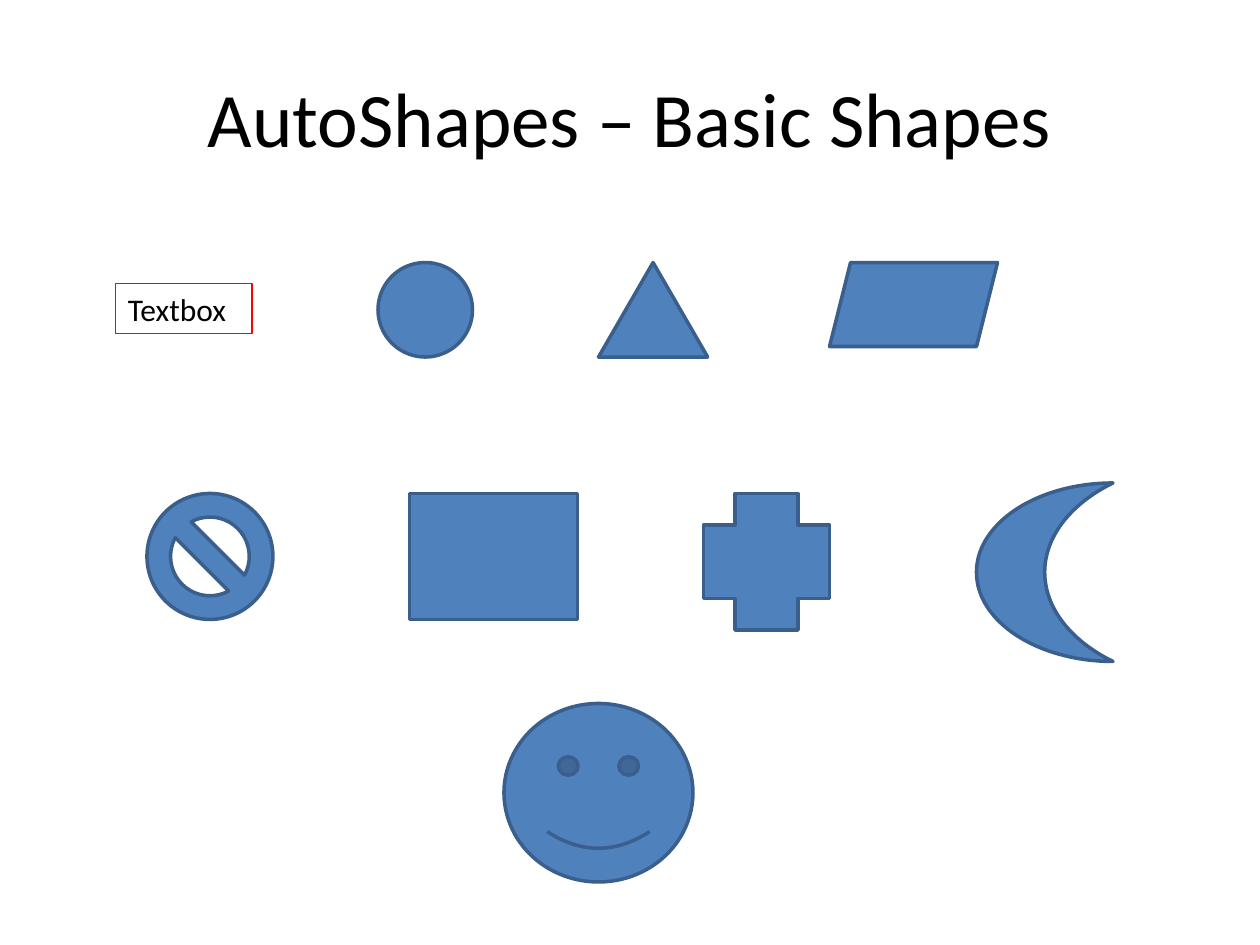
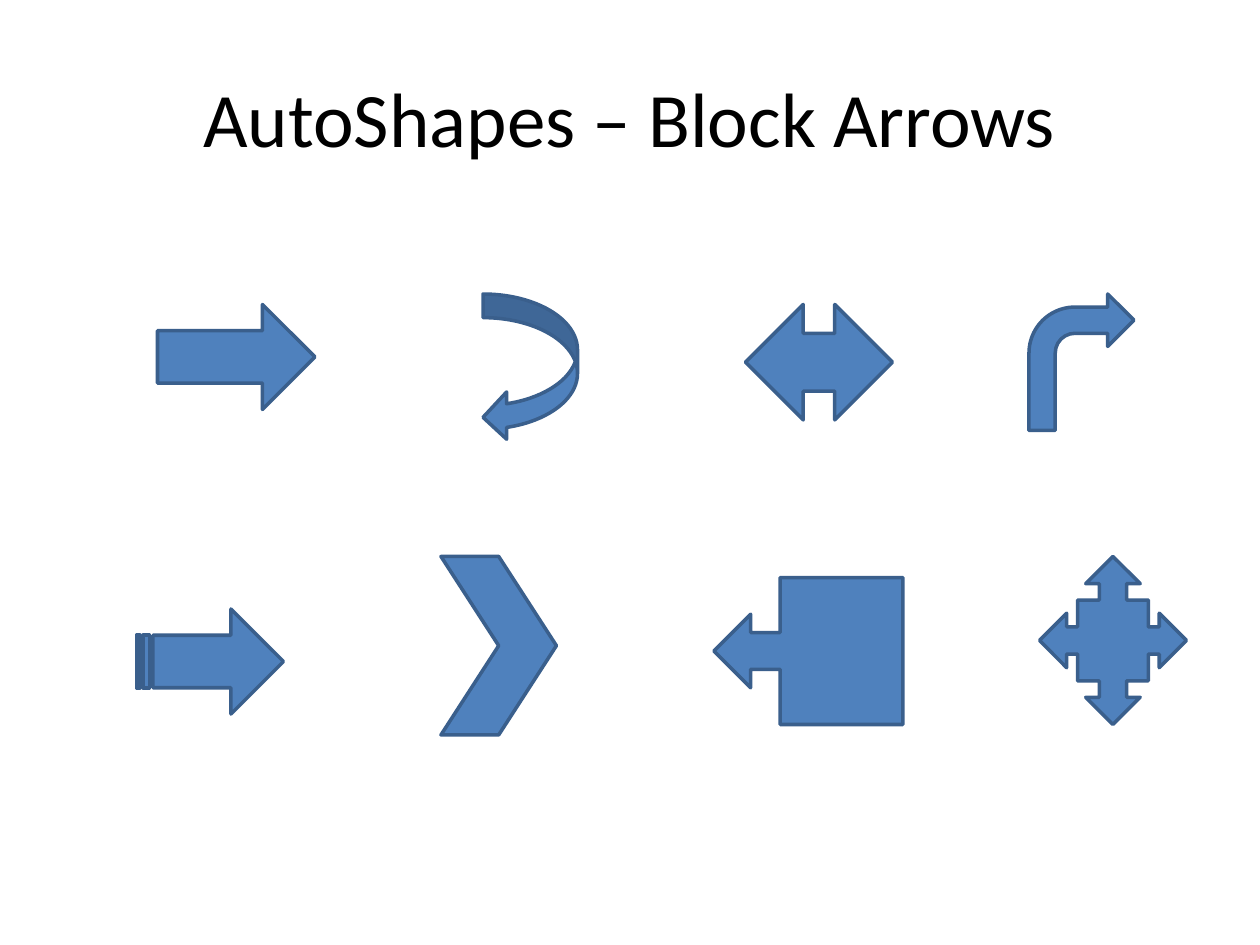
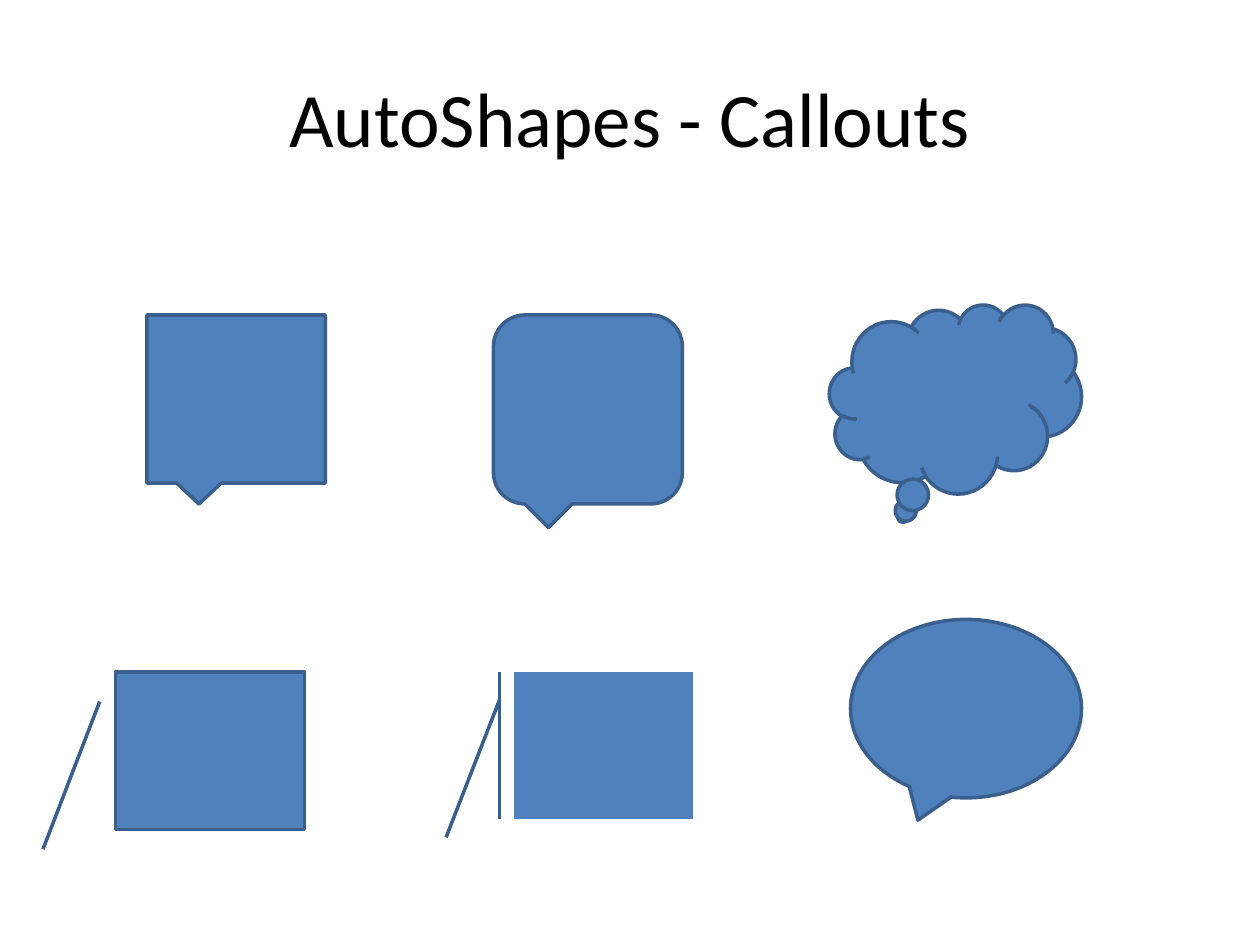
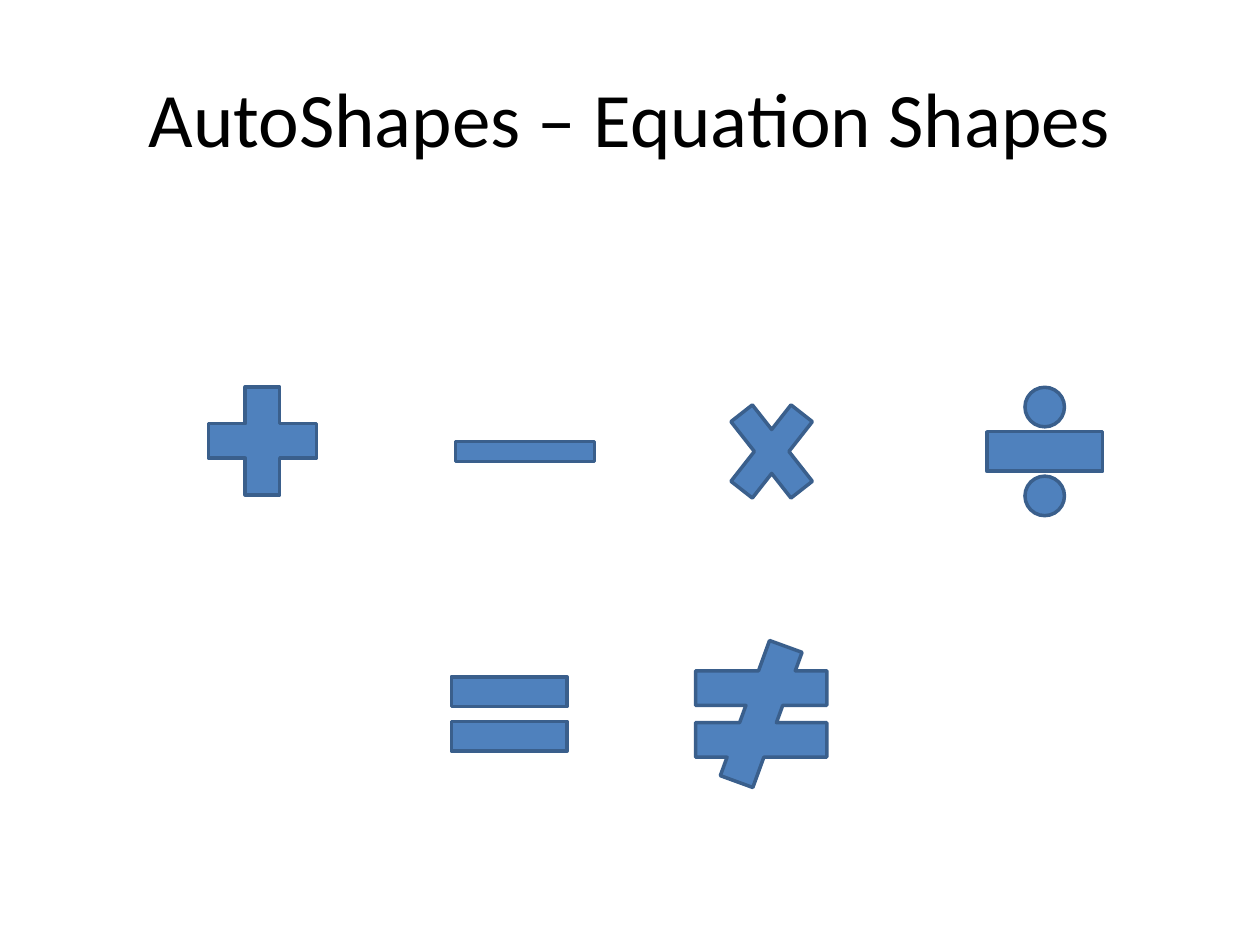
from dataclasses import dataclass

from pptx import Presentation
from pptx.dml.color import RGBColor as RGB
from pptx.enum.shapes import MSO_SHAPE as S
from pptx.enum.text import MSO_ANCHOR, MSO_AUTO_SIZE, PP_ALIGN
from pptx.util import Inches, Pt


@dataclass(frozen=True)
class Theme:
    font: str = "Calibri"
    title_size: float = 44
    body_size: float = 18
    outline_width: float = 2
    frame_width: float = 0.75
    ink: RGB = RGB(0x00, 0x00, 0x00)
    paper: RGB = RGB(0xFF, 0xFF, 0xFF)
    fill: RGB = RGB(0x4F, 0x81, 0xBD)
    outline: RGB = RGB(0x3A, 0x5F, 0x8C)
    frame: RGB = RGB(0xFF, 0x00, 0x00)


class Deck:
    COLUMNS, ROWS = 120, 90
    TITLE_BOX = (6, 3.6, 108, 15)

    def __init__(self, theme):
        self.theme = theme
        self.prs = Presentation()
        self.prs.slide_width = Inches(10)
        self.prs.slide_height = Inches(7.5)
        self.slide = None

    def grid(self, col, row, cols, rows):
        x = self.prs.slide_width / self.COLUMNS
        y = self.prs.slide_height / self.ROWS
        return [round(v) for v in (col * x, row * y, cols * x, rows * y)]

    def set_text(self, tf, text, size, align):
        p = tf.paragraphs[0]
        p.text = text
        p.alignment = align
        p.font.name = self.theme.font
        p.font.size = Pt(size)
        p.font.color.rgb = self.theme.ink

    def add_slide(self, title):
        self.slide = self.prs.slides.add_slide(self.prs.slide_layouts[5])
        background = self.slide.background.fill
        background.solid()
        background.fore_color.rgb = self.theme.paper
        sp = self.slide.shapes.title
        sp.left, sp.top, sp.width, sp.height = self.grid(*self.TITLE_BOX)
        sp.text_frame.vertical_anchor = MSO_ANCHOR.MIDDLE
        self.set_text(sp.text_frame, title, self.theme.title_size, PP_ALIGN.CENTER)

    def add_text_box(self, text, *cells):
        sp = self.slide.shapes.add_textbox(*self.grid(*cells))
        sp.line.color.rgb = self.theme.frame
        sp.line.width = Pt(self.theme.frame_width)
        tf = sp.text_frame
        tf.word_wrap = True
        tf.auto_size = MSO_AUTO_SIZE.SHAPE_TO_FIT_TEXT
        self.set_text(tf, text, self.theme.body_size, PP_ALIGN.LEFT)

    def add_shape(self, kind, *cells):
        sp = self.slide.shapes.add_shape(kind, *self.grid(*cells))
        sp.shadow.inherit = False
        sp.fill.solid()
        sp.fill.fore_color.rgb = self.theme.fill
        sp.line.color.rgb = self.theme.outline
        sp.line.width = Pt(self.theme.outline_width)

    def add_gallery(self, title, shapes):
        self.add_slide(title)
        for kind, *cells in shapes:
            self.add_shape(kind, *cells)


BASIC_SHAPES = [
    (S.OVAL, 36, 25, 9, 9),
    (S.ISOSCELES_TRIANGLE, 57, 25, 10.4, 9),
    (S.PARALLELOGRAM, 79, 25, 16, 8),
    (S.NO_SYMBOL, 14, 47, 12, 12),
    (S.RECTANGLE, 39, 47, 16, 12),
    (S.CROSS, 67, 47, 12, 13),
    (S.MOON, 93, 46, 13, 17),
    (S.SMILEY_FACE, 48, 67, 18, 17),
]

BLOCK_ARROWS = [
    (S.RIGHT_ARROW, 15, 29, 15, 10),
    (S.CURVED_LEFT_ARROW, 46, 28, 9, 14),
    (S.LEFT_RIGHT_ARROW, 71, 29, 14, 11),
    (S.BENT_ARROW, 98, 28, 10, 13),
    (S.STRIPED_RIGHT_ARROW, 13, 58, 14, 10),
    (S.CHEVRON, 42, 53, 11, 17),
    (S.LEFT_ARROW_CALLOUT, 68, 55, 18, 14),
    (S.QUAD_ARROW_CALLOUT, 99, 53, 14, 16),
]

CALLOUTS = [
    (S.RECTANGULAR_CALLOUT, 14, 30, 17, 16),
    (S.ROUNDED_RECTANGULAR_CALLOUT, 47, 30, 18, 18),
    (S.CLOUD_CALLOUT, 79, 29, 24, 18),
    (S.LINE_CALLOUT_1, 11, 64, 18, 15),
    (S.LINE_CALLOUT_1_ACCENT_BAR, 49, 64, 17, 14),
    (S.OVAL_CALLOUT, 81, 59, 22, 17),
]

EQUATION_SHAPES = [
    (S.MATH_PLUS, 18, 35, 14, 14),
    (S.MATH_MINUS, 41, 39, 18, 8),
    (S.MATH_MULTIPLY, 68, 36, 11, 14),
    (S.MATH_DIVIDE, 92, 35, 15, 16),
    (S.MATH_EQUAL, 41, 62, 15, 12),
    (S.MATH_NOT_EQUAL, 64, 61, 17, 14),
]


def main():
    deck = Deck(Theme())
    deck.add_gallery("AutoShapes – Basic Shapes", BASIC_SHAPES)
    deck.add_text_box("Textbox", 11, 27, 13, 4.8)
    deck.add_gallery("AutoShapes – Block Arrows", BLOCK_ARROWS)
    deck.add_gallery("AutoShapes - Callouts", CALLOUTS)
    deck.add_gallery("AutoShapes – Equation Shapes", EQUATION_SHAPES)
    deck.prs.save("out.pptx")


if __name__ == "__main__":
    main()
